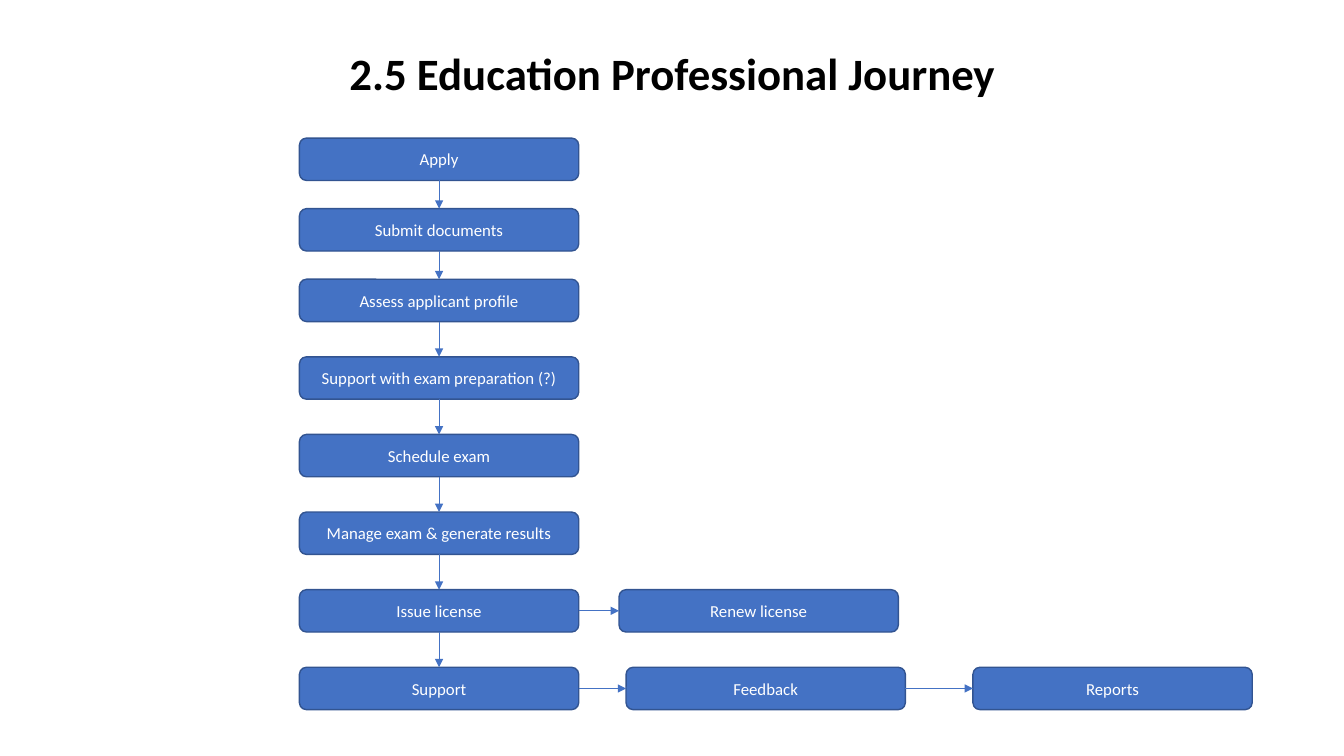
from itertools import pairwise

from lxml.etree import SubElement
from pptx import Presentation
from pptx.dml.color import RGBColor
from pptx.enum.shapes import MSO_CONNECTOR as CONN, MSO_SHAPE as SHAPE
from pptx.enum.text import MSO_ANCHOR as ANCHOR, PP_ALIGN as ALIGN
from pptx.oxml.ns import qn
from pptx.util import Inches, Pt

BLUE = RGBColor(0x44, 0x72, 0xC4)
DARK_BLUE = RGBColor(0x32, 0x54, 0x91)
WHITE = RGBColor(0xFF, 0xFF, 0xFF)
BLACK = RGBColor(0x00, 0x00, 0x00)

TOP, LEFT, BOTTOM, RIGHT = range(4)
MAIN_LEFT = 2.97
MAIN_STEPS = [
    ("Apply", 1.37),
    ("Submit documents", 2.07),
    ("Assess applicant profile", 2.77),
    ("Support with exam preparation (?)", 3.54),
    ("Schedule exam", 4.31),
    ("Manage exam & generate results", 5.08),
    ("Issue license", 5.85),
    ("Support", 6.62),
]
BRANCHES = {
    "Issue license": [("Renew license", 6.14)],
    "Support": [("Feedback", 6.21), ("Reports", 9.65)],
}


def write(tf, text, size=12, color=WHITE, bold=False, anchor=ANCHOR.MIDDLE, spacing=None):
    tf.word_wrap = True
    tf.vertical_anchor = anchor
    p = tf.paragraphs[0]
    p.alignment = ALIGN.CENTER
    p.line_spacing = spacing
    r = p.add_run()
    r.text = text
    r.font.name = "Calibri"
    r.font.size = Pt(size)
    r.font.bold = bold
    r.font.color.rgb = color


class FlowSlide:
    step_width = 2.77
    step_height = 0.42

    def __init__(self, prs):
        self.s = prs.slides.add_slide(prs.slide_layouts[5])

    def title(self, text):
        sp = self.s.shapes.title
        sp.left, sp.top = Inches(0.92), Inches(0)
        sp.width, sp.height = Inches(11.5), Inches(1.04)
        write(sp.text_frame, text, size=32, color=BLACK, bold=True,
              anchor=ANCHOR.BOTTOM, spacing=0.9)

    def step(self, text, left, top):
        sp = self.s.shapes.add_shape(
            SHAPE.ROUNDED_RECTANGLE, Inches(left), Inches(top),
            Inches(self.step_width), Inches(self.step_height))
        sp.shadow.inherit = False
        sp.fill.solid()
        sp.fill.fore_color.rgb = BLUE
        sp.line.color.rgb = DARK_BLUE
        sp.line.width = Pt(1)
        write(sp.text_frame, text)
        return sp

    def arrow(self, start, end, start_side, end_side):
        cxn = self.s.shapes.add_connector(CONN.STRAIGHT, 0, 0, 0, 0)
        cxn.begin_connect(start, start_side)
        cxn.end_connect(end, end_side)
        cxn.line.color.rgb = BLUE
        cxn.line.width = Pt(0.5)
        SubElement(cxn.line._get_or_add_ln(), qn("a:tailEnd"), type="triangle")
        SubElement(cxn._element.spPr, qn("a:effectLst"))


def main():
    prs = Presentation()
    prs.slide_width, prs.slide_height = Inches(13.33), Inches(7.5)
    flow = FlowSlide(prs)
    flow.title("2.5 Education Professional Journey")

    main_steps = []
    for text, top in MAIN_STEPS:
        row = [flow.step(text, MAIN_LEFT, top)]
        row += [flow.step(name, left, top) for name, left in BRANCHES.get(text, [])]
        for start, end in pairwise(row):
            flow.arrow(start, end, RIGHT, LEFT)
        main_steps.append(row[0])
    for start, end in pairwise(main_steps):
        flow.arrow(start, end, BOTTOM, TOP)

    prs.save("out.pptx")


if __name__ == "__main__":
    main()
